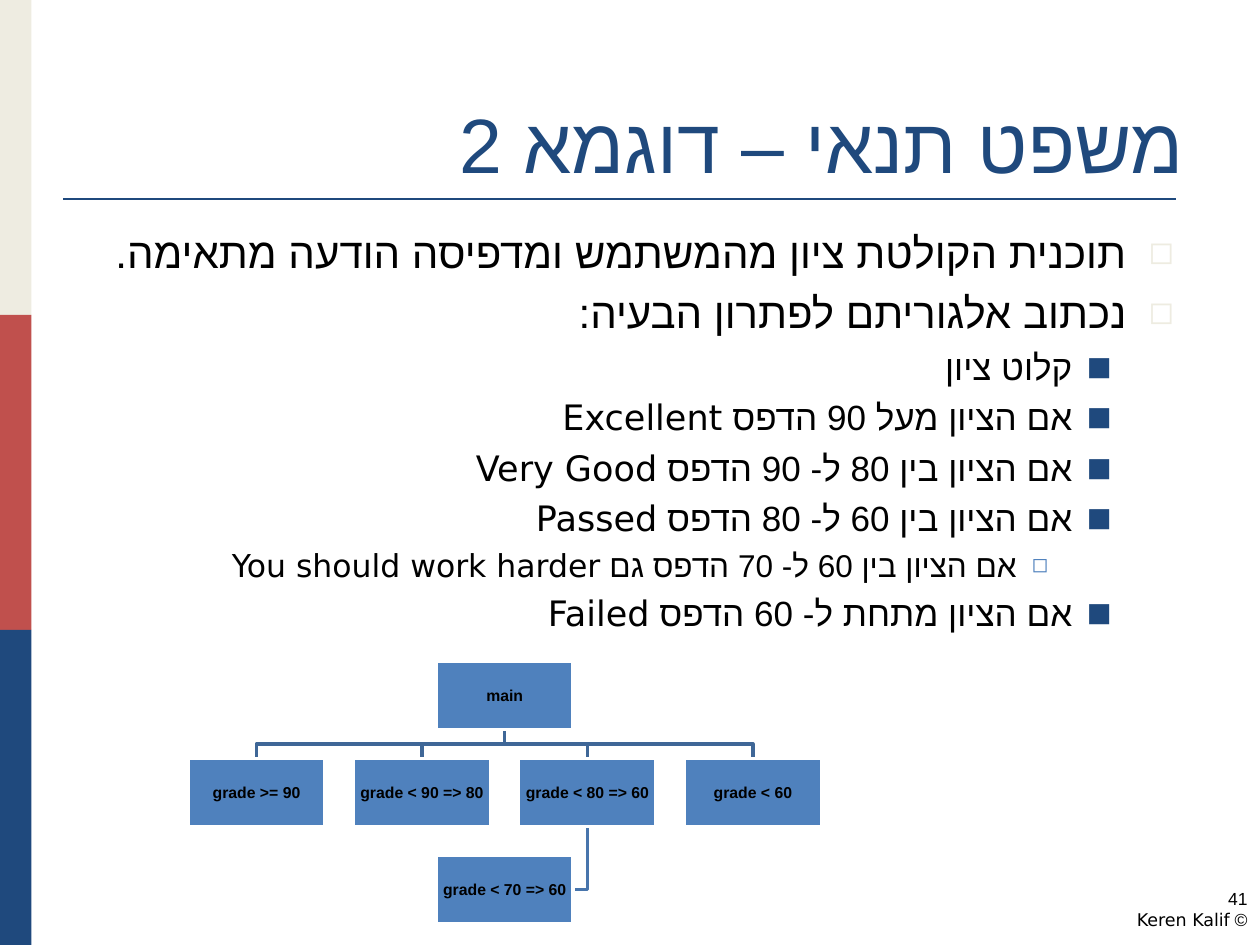
from lxml import etree
from pptx import Presentation
from pptx.dml.color import RGBColor
from pptx.enum import shapes, text
from pptx.oxml import ns
from pptx.util import Inches, Pt

NAVY, BLUE, CREAM, RED = "1F497D", "4F81BD", "EEECE1", "C0504D"
BLACK, WHITE = "000000", "FFFFFF"
RIGHT, CENTER = text.PP_ALIGN.RIGHT, text.PP_ALIGN.CENTER
LEVELS = [
    dict(size=24, margin=0.38, hang=0.38, mark="◻", color=CREAM, scale=75),
    dict(size=20, margin=0.81, hang=0.31, mark="■", color=NAVY, scale=75),
    dict(size=18, margin=1.25, hang=0.25, mark="◻", color=BLUE, scale=65),
]
ALGORITHM = [
    (0, "תוכנית הקולטת ציון מהמשתמש ומדפיסה הודעה מתאימה."),
    (0, "נכתוב אלגוריתם לפתרון הבעיה:"),
    (1, "קלוט ציון"),
    (1, "אם הציון מעל 90 הדפס Excellent"),
    (1, "אם הציון בין 80 ל- 90 הדפס Very Good"),
    (1, "אם הציון בין 60 ל- 80 הדפס Passed"),
    (2, "אם הציון בין 60 ל- 70 הדפס גם You should work harder"),
    (1, "אם הציון מתחת ל- 60 הדפס Failed"),
]
GRADES = ["grade >= 90", "80 <= grade < 90", "60 <= grade < 80", "grade < 60"]


def rgb(value):
    """Turn a hex string into a colour."""
    return RGBColor.from_string(value)


def add_child(parent, tag, **attributes):
    """Append a DrawingML element to a parent."""
    return etree.SubElement(parent, ns.qn(tag), attributes)


def style(paragraph, size, color, font, align=RIGHT, bold=False):
    """Format a right-to-left paragraph and its runs."""
    paragraph.alignment = align
    paragraph._p.get_or_add_pPr().set("rtl", "1")
    for run in paragraph.runs:
        run.font.size, run.font.bold, run.font.name = Pt(size), bold, font
        run.font.color.rgb = rgb(color)
        add_child(run._r.get_or_add_rPr(), "a:cs", typeface="Arial")


def add_bullet(paragraph, level):
    """Give a paragraph the indent and bullet of its level."""
    props = paragraph._p.get_or_add_pPr()
    props.set("marL", str(Inches(level["margin"])))
    props.set("indent", str(-Inches(level["hang"])))
    add_child(add_child(props, "a:buClr"), "a:srgbClr", val=level["color"])
    add_child(props, "a:buSzPct", val=str(level["scale"] * 1000))
    add_child(props, "a:buFont", typeface="DejaVu Sans")
    add_child(props, "a:buChar", char=level["mark"])


def add_frame(slide, left, top, width, height):
    """Add a wrapping text box and return its text frame."""
    box = slide.shapes.add_textbox(*map(Inches, (left, top, width, height)))
    box.text_frame.word_wrap = True
    return box.text_frame


def add_block(slide, left, top, width, height, fill):
    """Add a flat rectangle without an outline."""
    block = slide.shapes.add_shape(
        shapes.MSO_SHAPE.RECTANGLE, *map(Inches, (left, top, width, height)))
    block.shadow.inherit = False
    block.fill.solid()
    block.fill.fore_color.rgb = rgb(fill)
    block.line.fill.background()
    return block


def add_side_band(slide, left, top, width, height):
    """Stack three equal colour blocks down the slide edge."""
    part = height / 3
    for row, fill in enumerate((CREAM, RED, NAVY)):
        add_block(slide, left, top + row * part, width, part, fill)


def add_title(slide, left, top, width, height):
    """Add the heading and the rule beneath it."""
    frame = add_frame(slide, left, top, width, height)
    frame.vertical_anchor = text.MSO_ANCHOR.BOTTOM
    frame.text = "משפט תנאי – דוגמא 2"
    style(frame.paragraphs[0], 44, NAVY, "Times New Roman")
    y = Inches(top + height + 0.03)
    rule = slide.shapes.add_connector(
        shapes.MSO_CONNECTOR.STRAIGHT, Inches(left), y, Inches(9.33), y)
    rule.line.color.rgb = rgb(NAVY)
    rule.line.width = Pt(1.5)
    add_child(rule._element.spPr, "a:effectLst")


def add_algorithm(slide, left, top, width, height):
    """Add the bulleted steps of the algorithm."""
    frame = add_frame(slide, left, top, width, height)
    frame.text = "\n".join(line for _, line in ALGORITHM)
    for index, paragraph in enumerate(frame.paragraphs):
        depth = ALGORITHM[index][0]
        level = LEVELS[depth]
        paragraph.level = depth
        add_bullet(paragraph, level)
        if index:
            paragraph.space_before = Pt(round(level["size"] * 0.235, 1))
        style(paragraph, level["size"], BLACK, "DejaVu Sans")


def add_branch(slide, points, color):
    """Draw an open angled line through the points."""
    start, *rest = [(Inches(x), Inches(y)) for x, y in points]
    builder = slide.shapes.build_freeform(*start)
    builder.add_line_segments(rest, close=False)
    branch = builder.convert_to_shape()
    branch.shadow.inherit = False
    branch.fill.background()
    branch.line.color.rgb = rgb(color)
    branch.line.width = Pt(2)


def add_node(slide, left, top, width, height, label):
    """Add one labelled box of the tree."""
    node = add_block(slide, left, top, width, height, BLUE)
    node.line.color.rgb = rgb(WHITE)
    node.line.width = Pt(2)
    frame = node.text_frame
    frame.margin_left = frame.margin_right = Inches(0.01)
    frame.margin_top = frame.margin_bottom = Inches(0.01)
    frame.vertical_anchor = text.MSO_ANCHOR.MIDDLE
    frame.word_wrap = True
    frame.text = label
    style(frame.paragraphs[0], 9, BLACK, "Arial", CENTER, True)


def add_tree(slide, left, top, width, height):
    """Add the decision tree with its branches behind the boxes."""
    node_w, node_h = 1.09, 0.54
    column = (width - node_w) / (len(GRADES) - 1)
    row = (height - node_h) / 2
    root_x = left + 1.5 * column
    trunk, stem = root_x + node_w / 2, top + node_h
    child_y, leaf_y = top + row, top + 2 * row
    middle = (stem + child_y) / 2
    centers = [left + i * column + node_w / 2 for i in range(len(GRADES))]
    for x in centers:
        add_branch(slide, [(trunk, stem), (trunk, middle), (x, middle), (x, child_y)], "3F6797")
    leaf_side, leaf_middle = root_x + node_w, leaf_y + node_h / 2
    add_branch(slide, [(centers[2], child_y + node_h), (centers[2], leaf_middle),
                       (leaf_side, leaf_middle)], "4875AC")
    add_node(slide, root_x, top, node_w, node_h, "main")
    for x, label in zip(centers, GRADES):
        add_node(slide, x - node_w / 2, child_y, node_w, node_h, label)
    add_node(slide, root_x, leaf_y, node_w, node_h, "60 <= grade < 70")


def add_footer(slide, left, top, width, height):
    """Add the slide number and the copyright line."""
    frame = add_frame(slide, left, top, width, height)
    frame.text = "41\n© Keren Kalif"
    for paragraph in frame.paragraphs:
        style(paragraph, 10, BLACK, "DejaVu Sans")


def main():
    """Build and save the slide."""
    deck = Presentation()
    deck.slide_width, deck.slide_height = Inches(10), Inches(7.5)
    slide = deck.slides.add_slide(deck.slide_layouts[6])
    add_side_band(slide, 0, 0, 0.25, 7.5)
    add_title(slide, 0.5, 0.3, 9, 1.25)
    add_algorithm(slide, 0.5, 1.75, 8.92, 4.95)
    add_tree(slide, 1.49, 5.25, 5.03, 2.08)
    add_footer(slide, 7.67, 7, 2.33, 0.5)
    deck.save("out.pptx")


if __name__ == "__main__":
    main()
